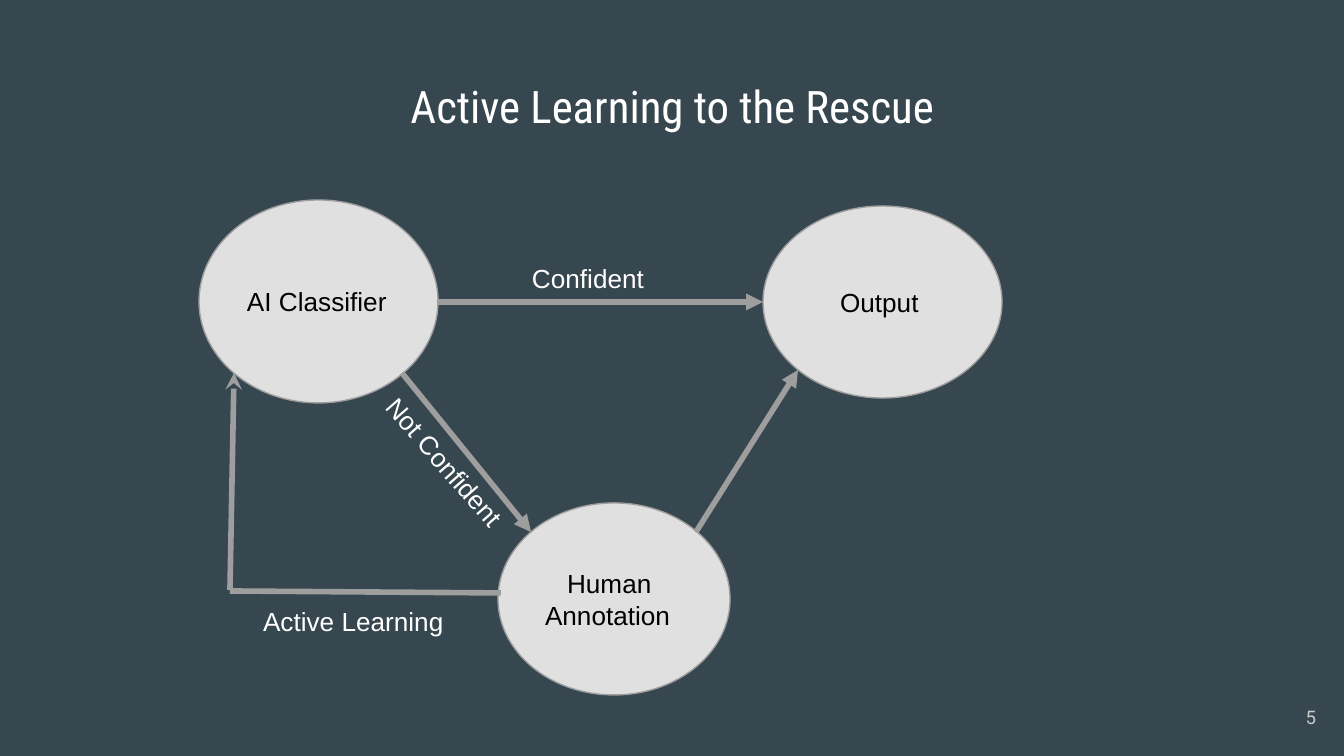
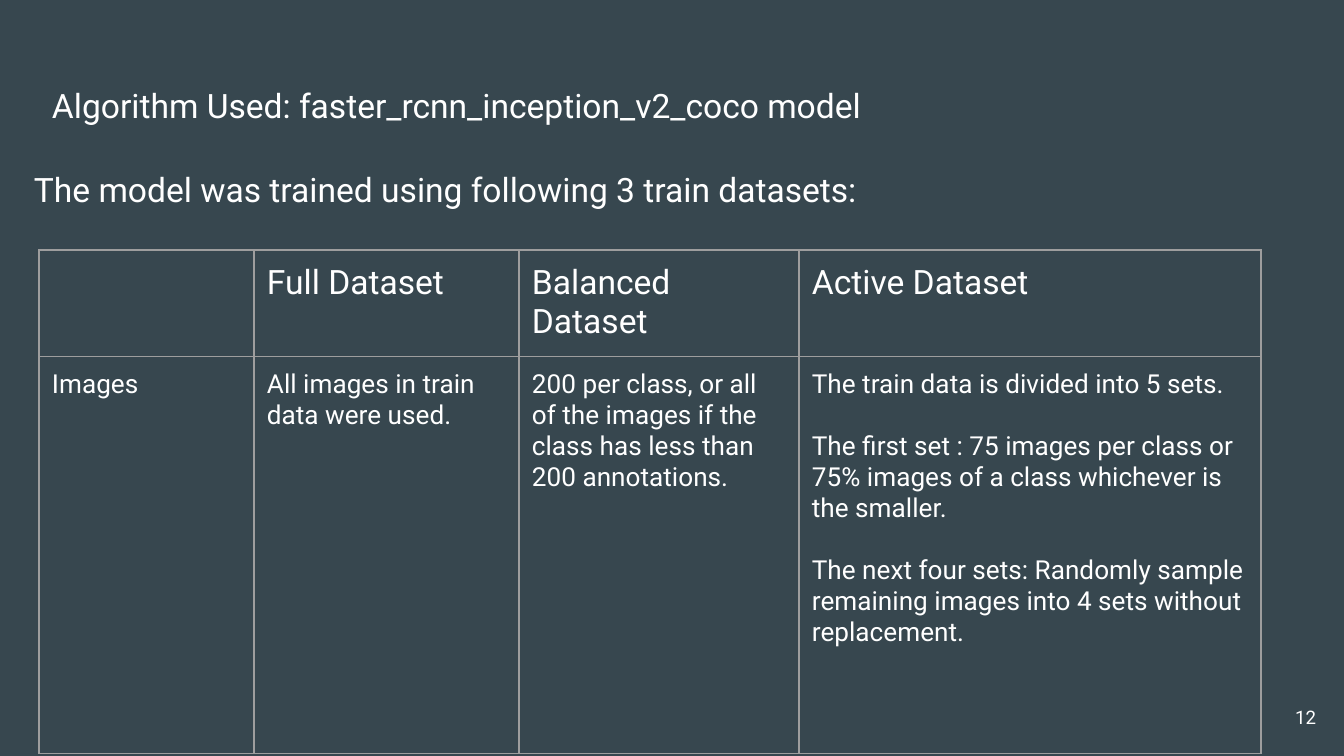
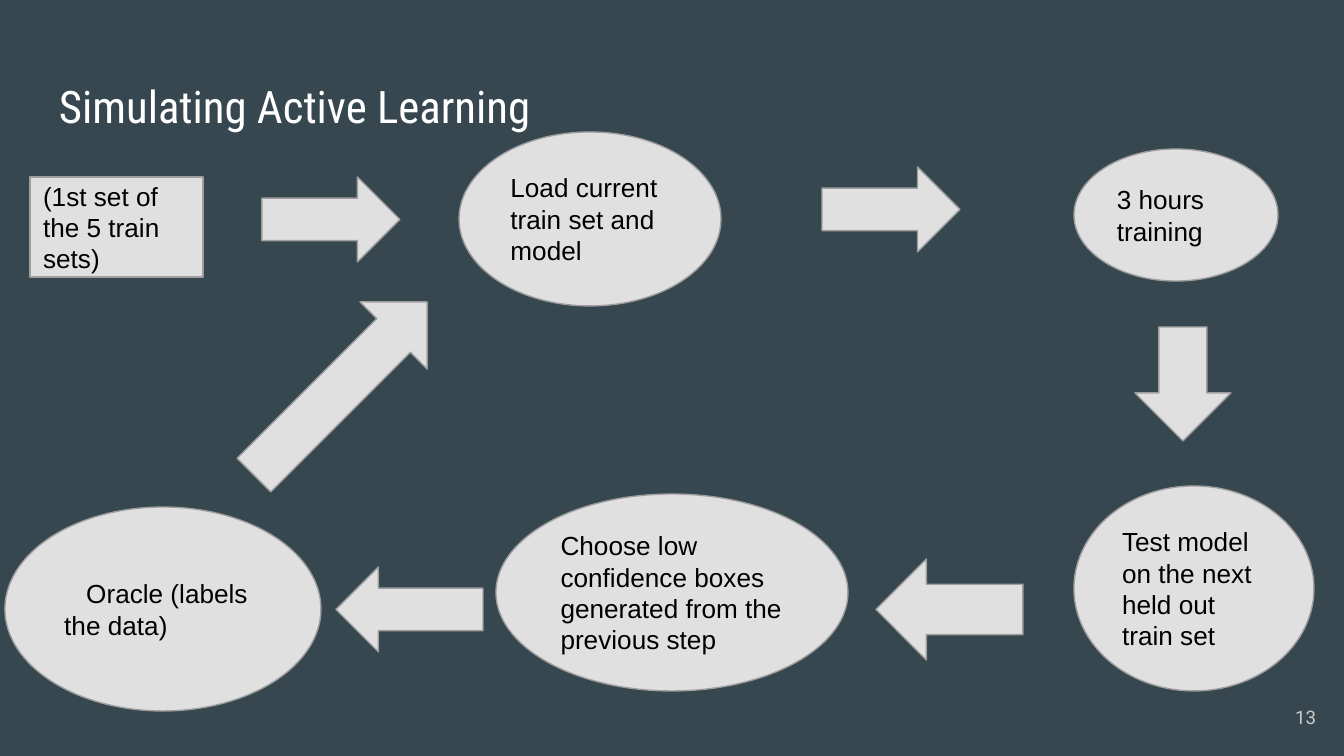
import dataclasses

import lxml.etree
import pptx
import pptx.dml.color
import pptx.enum.shapes
import pptx.enum.text
import pptx.oxml.ns
import pptx.util

SHAPES = pptx.enum.shapes.MSO_SHAPE
ALIGN = pptx.enum.text.PP_ALIGN
ANCHOR = pptx.enum.text.MSO_ANCHOR
EMU_PER_PX = 914400 / 134.4


@dataclasses.dataclass(frozen=True)
class Theme:
    background: str = "37474F"
    node_fill: str = "E0E0E0"
    outline: str = "9E9E9E"
    light_text: str = "FFFFFF"
    dark_text: str = "000000"
    muted_text: str = "CACACA"
    title_font: str = "Roboto Condensed"
    body_font: str = "Roboto"
    diagram_font: str = "Arial"
    title_size: int = 24
    lead_size: int = 18
    text_size: int = 14
    number_size: int = 10
    thin_line: float = 0.75
    thick_line: float = 3
    inset: int = 13


THEME = Theme()
SLIDE_SIZE = (1344, 756)
TITLE_BOX = (46, 66, 1253, 85)
NUMBER_BOX = (1249, 688, 80, 58)

# Node: shape, box, text, first-line indent
RESCUE_NODES = [
    (SHAPES.OVAL, (199, 200, 239, 203), "AI Classifier", 0),
    (SHAPES.OVAL, (763, 206, 239, 192), "Output", 29),
    (SHAPES.OVAL, (498, 503, 232, 192), "Human Annotation", 22),
]
# Connector: start, end, arrowhead
RESCUE_CONNECTORS = [
    ((437, 302), (763, 302), "triangle"),
    ((696, 532), (798, 370), "triangle"),
    ((402, 373), (531, 532), "triangle"),
    ((230, 590), (234, 373), "stealth"),
    ((230, 591), (501, 593), None),
]
# Label: box, text, rotation
RESCUE_LABELS = [
    ((519, 249, 161, 27), "Confident", 0),
    ((340, 457, 249, 59), "Not Confident", 49),
    ((250, 592, 232, 33), "Active Learning", 0),
]

ALGORITHM_LINES = [
    ((39, 66, 1253, 85), "Algorithm Used: faster_rcnn_inception_v2_coco model"),
    ((21, 150, 1253, 85), "The model was trained using following 3 train datasets:"),
]
TABLE_ORIGIN = (39, 250)
COLUMN_WIDTHS = [215, 265, 280, 462]
ROW_HEIGHTS = [106, 397]
DATASETS = [
    [[], ["Full Dataset"], ["Balanced Dataset"], ["Active Dataset"]],
    [
        ["Images"],
        ["All images in train data were used."],
        ["200 per class, or all of the images if the class has less than "
         "200 annotations."],
        ["The train data is divided into 5 sets.",
         "The first set : 75 images per class or 75% images of a class "
         "whichever is the smaller.",
         "The next four sets: Randomly sample remaining images into 4 sets "
         "without replacement."],
    ],
]
CELL_PARAGRAPH_GAP = 31

SIMULATION_NODES = [
    (SHAPES.RECTANGLE, (30, 177, 173, 100), "(1st set of the 5 train sets)", 0),
    (SHAPES.OVAL, (1074, 149, 204, 132), "3 hours training", 0),
    (SHAPES.OVAL, (459, 132, 262, 174), "Load current train set and model", 0),
    (SHAPES.OVAL, (1074, 486, 240, 205),
     "Test model on the next held out train set", 0),
    (SHAPES.OVAL, (496, 494, 352, 197),
     "Choose low confidence boxes generated from the previous step", 0),
    (SHAPES.OVAL, (5, 507, 316, 204), "Oracle (labels the data)", 22),
]
# Block arrow: shape, box, rotation
SIMULATION_ARROWS = [
    (SHAPES.RIGHT_ARROW, (262, 177, 138, 85), 0),
    (SHAPES.RIGHT_ARROW, (822, 167, 138, 85), 0),
    (SHAPES.DOWN_ARROW, (1135, 327, 96, 114), 0),
    (SHAPES.LEFT_ARROW, (876, 559, 147, 101), 0),
    (SHAPES.LEFT_ARROW, (336, 567, 147, 85), 0),
    (SHAPES.LEFT_ARROW, (218, 341, 245, 95), 135),
]


def px(length):
    return pptx.util.Emu(round(length * EMU_PER_PX))


def color(value):
    return pptx.dml.color.RGBColor.from_string(value)


def set_insets(frame_or_cell):
    for side in ("left", "top", "right", "bottom"):
        setattr(frame_or_cell, "margin_" + side, px(THEME.inset))


def write(text_frame, lines, font, size, text_color, align=ALIGN.LEFT,
          anchor=ANCHOR.TOP, indent=0, spacing=None, gap=0):
    """Fill a text frame with one paragraph per line."""
    text_frame.word_wrap = True
    text_frame.vertical_anchor = anchor
    for index, line in enumerate(lines):
        paragraph = text_frame.add_paragraph() if index else text_frame.paragraphs[0]
        paragraph.alignment = align
        if indent:
            paragraph._p.get_or_add_pPr().set("indent", str(px(indent)))
        if spacing:
            paragraph.line_spacing = spacing
        if index and gap:
            paragraph.space_before = px(gap)
        run = paragraph.add_run()
        run.text = line
        run.font.name = font
        run.font.size = pptx.util.Pt(size)
        run.font.color.rgb = color(text_color)


def add_text(slide, box, text, font, size, text_color, rotation=0, **options):
    shape = slide.shapes.add_textbox(*map(px, box))
    shape.rotation = rotation
    set_insets(shape.text_frame)
    write(shape.text_frame, [text], font, size, text_color, **options)


def add_title(slide, text, align=ALIGN.LEFT):
    add_text(slide, TITLE_BOX, text, THEME.title_font, THEME.title_size,
             THEME.light_text, align=align)


def add_block(slide, kind, box, rotation=0):
    shape = slide.shapes.add_shape(kind, *map(px, box))
    shape.rotation = rotation
    shape.shadow.inherit = False
    shape.fill.solid()
    shape.fill.fore_color.rgb = color(THEME.node_fill)
    shape.line.color.rgb = color(THEME.outline)
    shape.line.width = pptx.util.Pt(THEME.thin_line)
    return shape


def add_node(slide, kind, box, text, indent):
    text_frame = add_block(slide, kind, box).text_frame
    set_insets(text_frame)
    write(text_frame, [text], THEME.diagram_font, THEME.text_size,
          THEME.dark_text, anchor=ANCHOR.MIDDLE, indent=indent)


def add_connector(slide, start, end, arrowhead):
    connector = slide.shapes.add_connector(
        pptx.enum.shapes.MSO_CONNECTOR.STRAIGHT, *map(px, start + end))
    connector.line.color.rgb = color(THEME.outline)
    connector.line.width = pptx.util.Pt(THEME.thick_line)
    if arrowhead:
        lxml.etree.SubElement(connector.line._get_or_add_ln(),
                              pptx.oxml.ns.qn("a:tailEnd"), type=arrowhead)
    lxml.etree.SubElement(connector._element.spPr, pptx.oxml.ns.qn("a:effectLst"))


def add_borders(cell):
    properties = cell._tc.get_or_add_tcPr()
    width = str(pptx.util.Pt(THEME.thin_line))
    for side in "LRTB":
        line = lxml.etree.SubElement(
            properties, pptx.oxml.ns.qn("a:ln" + side), w=width)
        fill = lxml.etree.SubElement(line, pptx.oxml.ns.qn("a:solidFill"))
        lxml.etree.SubElement(fill, pptx.oxml.ns.qn("a:srgbClr"), val=THEME.outline)


def add_dataset_table(slide):
    size = (sum(COLUMN_WIDTHS), sum(ROW_HEIGHTS))
    table = slide.shapes.add_table(
        len(ROW_HEIGHTS), len(COLUMN_WIDTHS), *map(px, TABLE_ORIGIN + size)).table
    table.first_row = table.horz_banding = False
    for column, width in zip(table.columns, COLUMN_WIDTHS):
        column.width = px(width)
    for row, height, contents, text_size in zip(
            table.rows, ROW_HEIGHTS, DATASETS, (THEME.lead_size, THEME.text_size)):
        row.height = px(height)
        for cell, lines in zip(row.cells, contents):
            set_insets(cell)
            add_borders(cell)
            cell.fill.background()
            write(cell.text_frame, lines, THEME.body_font, text_size,
                  THEME.light_text, gap=CELL_PARAGRAPH_GAP)


def build_rescue(slide):
    add_title(slide, "Active Learning to the Rescue", ALIGN.CENTER)
    for node in RESCUE_NODES:
        add_node(slide, *node)
    for connector in RESCUE_CONNECTORS:
        add_connector(slide, *connector)
    for box, text, rotation in RESCUE_LABELS:
        add_text(slide, box, text, THEME.diagram_font, THEME.text_size,
                 THEME.light_text, rotation)


def build_algorithm(slide):
    for box, text in ALGORITHM_LINES:
        add_text(slide, box, text, THEME.body_font, THEME.lead_size,
                 THEME.light_text, spacing=1.15)
    add_dataset_table(slide)


def build_simulation(slide):
    add_title(slide, "Simulating Active Learning")
    for node in SIMULATION_NODES:
        add_node(slide, *node)
    for arrow in SIMULATION_ARROWS:
        add_block(slide, *arrow)


# Slide: builder, page number, page number colour
SLIDES = [
    (build_rescue, "5", THEME.muted_text),
    (build_algorithm, "12", THEME.light_text),
    (build_simulation, "13", THEME.muted_text),
]


def main():
    presentation = pptx.Presentation()
    presentation.slide_width, presentation.slide_height = map(px, SLIDE_SIZE)
    background = presentation.slide_master.background.fill
    background.solid()
    background.fore_color.rgb = color(THEME.background)
    for build, number, number_color in SLIDES:
        slide = presentation.slides.add_slide(presentation.slide_layouts[6])
        build(slide)
        add_text(slide, NUMBER_BOX, number, THEME.body_font, THEME.number_size,
                 number_color, align=ALIGN.RIGHT, anchor=ANCHOR.MIDDLE)
    presentation.save("out.pptx")


if __name__ == "__main__":
    main()
